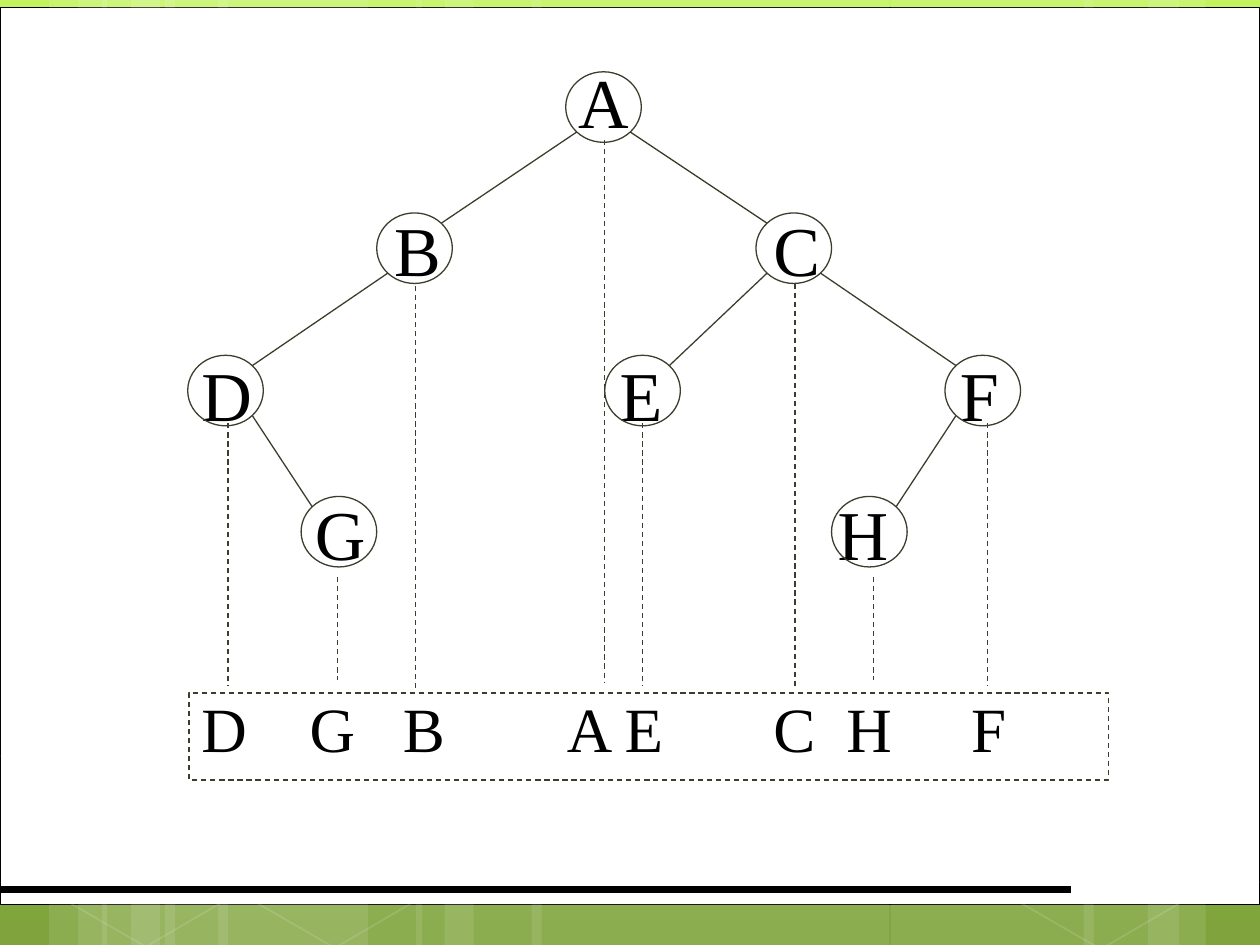
from dataclasses import dataclass
from typing import Optional

from lxml import etree
from pptx import Presentation
from pptx.dml.color import RGBColor
from pptx.enum.dml import MSO_LINE
from pptx.enum.shapes import MSO_CONNECTOR, MSO_SHAPE
from pptx.enum.text import MSO_ANCHOR, PP_ALIGN
from pptx.oxml.ns import qn
from pptx.util import Inches, Pt

STRAIGHT = MSO_CONNECTOR.STRAIGHT
RECTANGLE, OVAL, HEXAGON = MSO_SHAPE.RECTANGLE, MSO_SHAPE.OVAL, MSO_SHAPE.HEXAGON
DASH = MSO_LINE.DASH

COLORS = {
    "gradient_top": "C2F35F",
    "gradient_middle": "92BE3F",
    "gradient_bottom": "80A33D",
    "white": "FFFFFF",
    "black": "000000",
    "outline": "3E3D2D",
}
FONT = "Times New Roman"
NODE_WIDTH, NODE_HEIGHT = 0.6, 0.56
CORNER = 0.5 ** 1.5


@dataclass(frozen=True)
class Node:
    left: float
    top: float
    drop_x: float
    drop_top: float
    drop_bottom: float
    parent: Optional[str] = None

    @property
    def center(self) -> tuple[float, float]:
        return self.left + NODE_WIDTH / 2, self.top + NODE_HEIGHT / 2

    def corner(self, side: int, vertical: int) -> tuple[float, float]:
        x, y = self.center
        return x + side * NODE_WIDTH * CORNER, y + vertical * NODE_HEIGHT * CORNER


@dataclass(frozen=True)
class LetterRow:
    letters: str
    left: float
    top: float
    width: float
    tabs: tuple[float, ...] = ()
    size: int = 40
    inset: float = 0.11
    framed: bool = False


NODES = {
    "A": Node(4.49, 0.57, 4.8, 1.11, 5.41),
    "B": Node(2.99, 1.69, 3.3, 2.27, 5.48, "A"),
    "C": Node(6, 1.69, 6.31, 2.25, 5.46, "A"),
    "D": Node(1.49, 2.82, 1.81, 3.36, 5.44, "B"),
    "E": Node(4.8, 2.82, 5.1, 3.36, 5.44, "C"),
    "F": Node(7.5, 2.82, 7.84, 3.36, 5.44, "C"),
    "G": Node(2.39, 3.94, 2.68, 4.58, 5.4, "D"),
    "H": Node(6.6, 3.94, 6.93, 4.58, 5.4, "F"),
}
ROWS = [
    LetterRow("DGBAECHF", 1.5, 5.5, 7.3, (0.86, 1.6, 2.9, 3.36, 4.54, 5.12, 6.11), 36, 0.09, True),
    LetterRow("GH", 2.4, 3.91, 6.12, (4.15,)),
    LetterRow("DEF", 1.5, 2.81, 8.01, (3.32, 6.02)),
    LetterRow("BC", 3.03, 1.66, 5.89, (3.01,)),
    LetterRow("A", 4.49, 0.48, 1.65),
]
STRIPES = [
    (1.31, 1.61), (0.39, 0.46), (0.62, 0.77), (1.73, 1.62), (0.81, 0.46), (1.04, 0.77),
    (7.07, 1.61), (9.11, 0.46), (8.6, 0.76), (4.22, 2.84), (3.3, 0.46), (3.53, 0.77),
]
CURVES = [
    [((0.36, 6.17), (1.47, 6.72), (2.58, 7.27), (3.39, 7.49))],
    [
        ((6.09, 7.18), (6.85, 7.29), (7.67, 7.33), (8.16, 7.36)),
        ((8.16, 7.36), (8.64, 7.4), (8.77, 7.38), (9.01, 7.38)),
        ((9.01, 7.38), (9.24, 7.37), (9.41, 7.35), (9.58, 7.34)),
    ],
    [((2.54, 7.49), (2.7, 7.29), (2.86, 7.09), (3.09, 6.91))],
]
HEXAGONS = [(0.41, 5.91), (1.91, 5.92), (7.99, 5.93)]


def paint(color_format, name: str, alpha: int = 100) -> None:
    color_format.rgb = RGBColor.from_string(COLORS[name])


def set_alpha(shape, tag: str, percent: int) -> None:
    parent = shape.element.spPr if tag == "fill" else shape.element.spPr.find(qn("a:ln"))
    color = parent.find(qn("a:solidFill")).find(qn("a:srgbClr"))
    etree.SubElement(color, qn("a:alpha")).set("val", str(percent * 1000))


def style_line(line, color: str, width: float, dash=None) -> None:
    line.color.rgb = RGBColor.from_string(COLORS[color])
    line.width = Pt(width)
    if dash is not None:
        line.dash_style = dash


def add_plain_shape(slide, kind, left: float, top: float, width: float, height: float):
    shape = slide.shapes.add_shape(kind, Inches(left), Inches(top), Inches(width), Inches(height))
    shape.shadow.inherit = False
    shape.fill.background()
    return shape


def add_line(slide, start, end, color: str = "outline", width: float = 0.75, dash=None) -> None:
    connector = slide.shapes.add_connector(STRAIGHT, *map(Inches, (*start, *end)))
    style_line(connector.line, color, width, dash)
    etree.SubElement(connector.element.spPr, qn("a:effectLst"))


def add_curve(slide, segments) -> None:
    points = [segments[0][0]]
    for segment in segments:
        for step in range(1, 13):
            t = step / 12
            weights = ((1 - t) ** 3, 3 * t * (1 - t) ** 2, 3 * t ** 2 * (1 - t), t ** 3)
            points.append(tuple(sum(w * p[axis] for w, p in zip(weights, segment)) for axis in (0, 1)))
    builder = slide.shapes.build_freeform(*points[0], scale=Inches(1))
    builder.add_line_segments(points[1:], close=False)
    shape = builder.convert_to_shape()
    shape.shadow.inherit = False
    shape.fill.background()
    style_line(shape.line, "white", 0.5)
    set_alpha(shape, "line", 20)


def draw_backdrop(slide) -> None:
    fill = slide.background.fill
    fill.gradient()
    fill.gradient_angle = 270
    stops = fill.gradient_stops
    for stop, name, position in zip(stops, ("gradient_top", "gradient_bottom"), (0, 1)):
        stop.color.rgb = RGBColor.from_string(COLORS[name])
        stop.position = position
    stop_list = next(slide.element.iter(qn("a:gsLst")))
    middle = etree.Element(qn("a:gs"), pos="62000")
    etree.SubElement(middle, qn("a:srgbClr")).set("val", COLORS["gradient_middle"])
    stop_list.insert(1, middle)

    panel = add_plain_shape(slide, RECTANGLE, 0, 0.06, 10, 7.12)
    panel.fill.solid()
    panel.fill.fore_color.rgb = RGBColor.from_string(COLORS["white"])
    style_line(panel.line, "black", 0.5)
    for left, width in STRIPES:
        stripe = add_plain_shape(slide, RECTANGLE, left, 0, width, 7.5)
        stripe.fill.solid()
        stripe.fill.fore_color.rgb = RGBColor.from_string(COLORS["white"])
        set_alpha(stripe, "fill", 10)
        stripe.line.fill.background()
    for curve in CURVES:
        add_curve(slide, curve)
    for left, top in HEXAGONS:
        hexagon = add_plain_shape(slide, HEXAGON, left, top, 1.61, 1.52)
        hexagon.adjustments[0] = 0.285
        hexagon.rotation = 30
        style_line(hexagon.line, "white", 1)
        set_alpha(hexagon, "line", 12)
    add_line(slide, (0, 7.06), (8.5, 7.06), "black", 4.5)


def add_letter_row(slide, row: LetterRow) -> None:
    if row.framed:
        shape = add_plain_shape(slide, RECTANGLE, row.left, row.top, row.width, 0.69)
        style_line(shape.line, "outline", 0.75, DASH)
    else:
        shape = slide.shapes.add_textbox(*map(Inches, (row.left, row.top, row.width, 0.69)))
    frame = shape.text_frame
    frame.word_wrap = True
    frame.vertical_anchor = MSO_ANCHOR.TOP
    frame.margin_top = Inches(row.inset)
    frame.text = "\t".join(row.letters)
    paragraph = frame.paragraphs[0]
    paragraph.alignment = PP_ALIGN.JUSTIFY if len(row.letters) == 1 else PP_ALIGN.LEFT
    paragraph.line_spacing = 0.8
    if row.tabs:
        tab_list = etree.SubElement(paragraph._p.get_or_add_pPr(), qn("a:tabLst"))
        for position in row.tabs:
            etree.SubElement(tab_list, qn("a:tab"), pos=str(Inches(position)), algn="l")
    for run in paragraph.runs:
        run.font.name = FONT
        run.font.size = Pt(row.size)
        run.font.color.rgb = RGBColor.from_string(COLORS["black"])


def draw_tree(slide) -> None:
    for node in NODES.values():
        circle = add_plain_shape(slide, OVAL, node.left, node.top, NODE_WIDTH, NODE_HEIGHT)
        style_line(circle.line, "outline", 0.75)
    for node in NODES.values():
        if node.parent:
            parent = NODES[node.parent]
            side = 1 if node.left > parent.left else -1
            add_line(slide, parent.corner(side, 1), node.corner(-side, -1))
    for node in NODES.values():
        add_line(slide, (node.drop_x, node.drop_top), (node.drop_x, node.drop_bottom), dash=DASH)


def main() -> None:
    presentation = Presentation()
    presentation.slide_width, presentation.slide_height = Inches(10), Inches(7.5)
    slide = presentation.slides.add_slide(presentation.slide_layouts[6])
    draw_backdrop(slide)
    for row in ROWS:
        add_letter_row(slide, row)
    draw_tree(slide)
    presentation.save("out.pptx")


if __name__ == "__main__":
    main()
